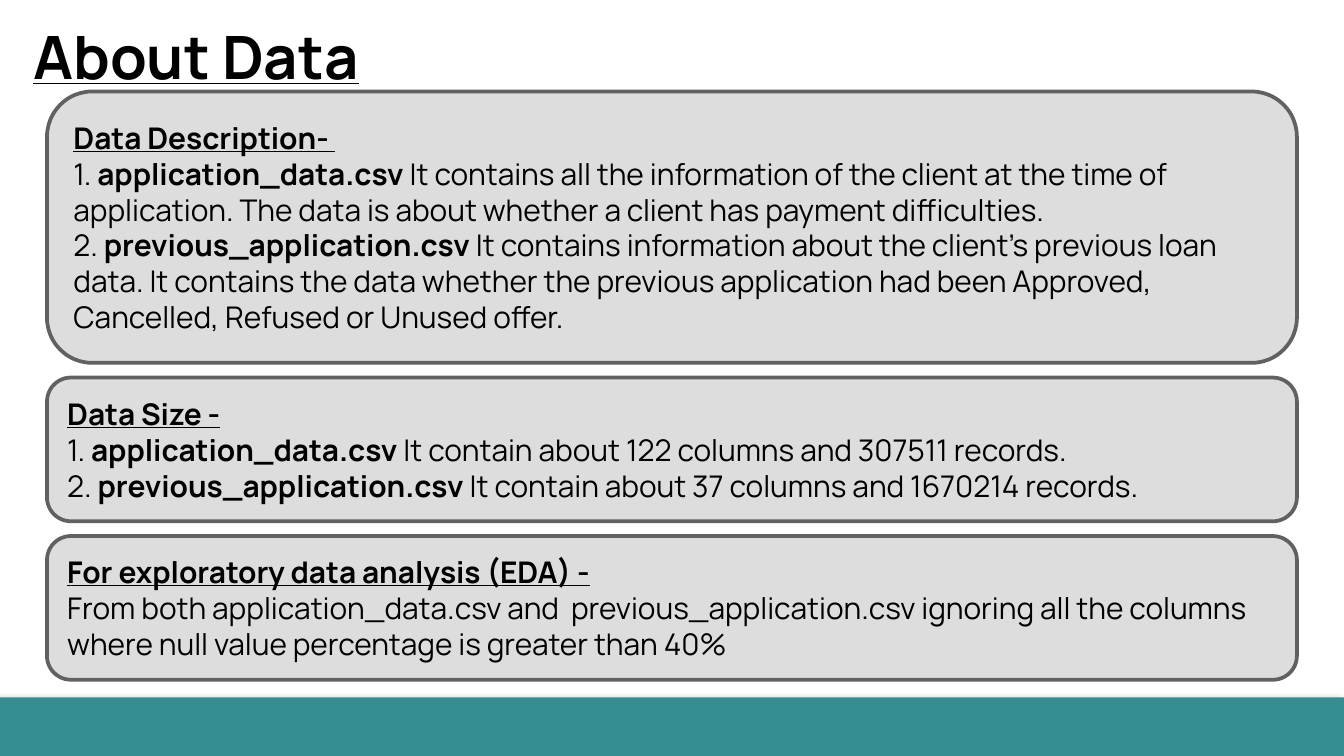
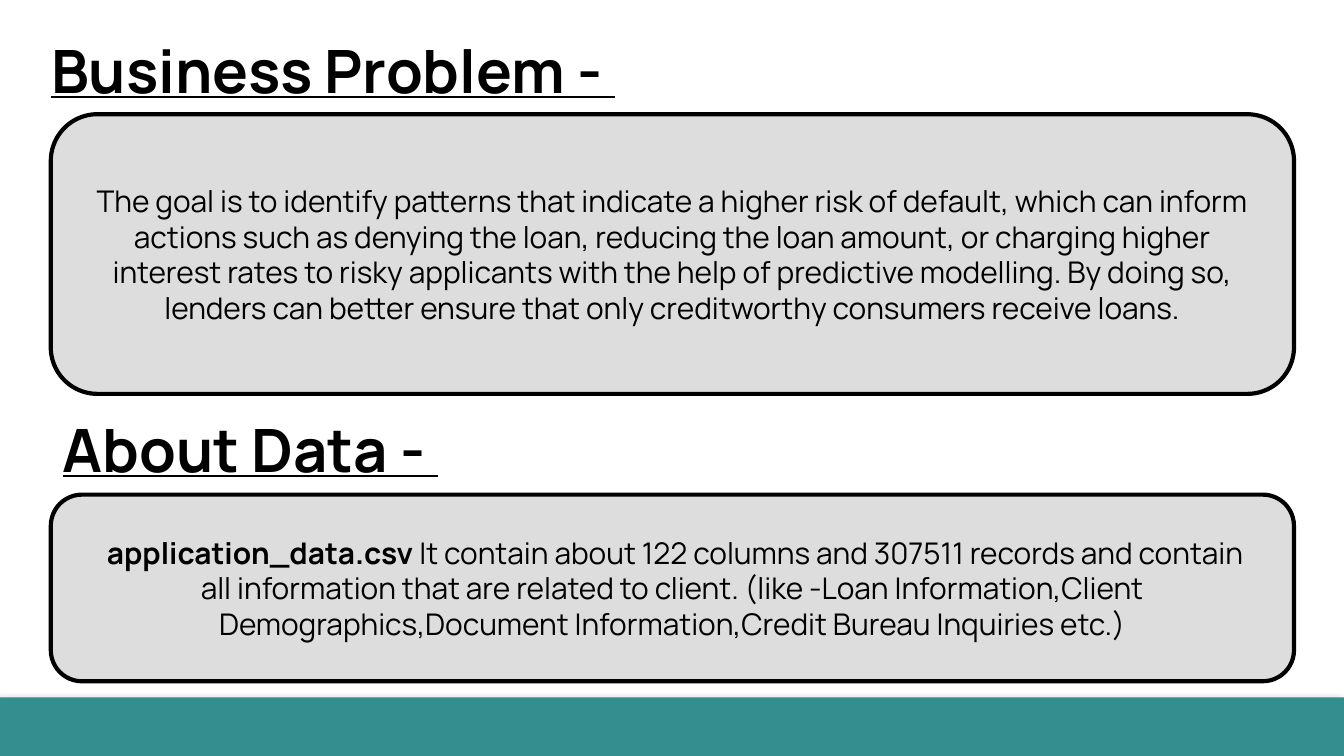
from dataclasses import dataclass

import lxml.etree
import pptx
import pptx.dml.color
import pptx.enum.shapes
import pptx.enum.text
import pptx.oxml.ns
import pptx.util

Pt = pptx.util.Pt
Align = pptx.enum.text.PP_ALIGN
Anchor = pptx.enum.text.MSO_ANCHOR
Preset = pptx.enum.shapes.MSO_SHAPE


@dataclass(frozen=True)
class Theme:
    font: str = "Manrope"
    text: str = "000000"
    band: str = "348E90"
    panel: str = "DDDDDD"
    soft_edge: str = "616161"
    hard_edge: str = "000000"
    title_size: float = 32
    body_size: float = 16


@dataclass(frozen=True)
class Box:
    left: float
    top: float
    width: float
    height: float

    def place(self, shape):
        shape.left, shape.top = Pt(self.left), Pt(self.top)
        shape.width, shape.height = Pt(self.width), Pt(self.height)


THEME = Theme()
WIDTH, HEIGHT = 720, 405
BAND = Box(0, 373.7, WIDTH, 31.3)
PLAIN, BOLD, HEADING = (False, False), (True, False), (True, True)

DESCRIPTION = [
    [("Data Description- ", HEADING)],
    [("1. ", PLAIN), ("application_data.csv", BOLD),
     (" It contains all the information of the client at the time of application."
      " The data is about whether a client has payment difficulties.", PLAIN)],
    [("2. ", PLAIN), ("previous_application.csv", BOLD),
     (" It contains information about the client’s previous loan data."
      " It contains the data whether the previous application had been"
      " Approved, Cancelled, Refused or Unused offer.", PLAIN)],
]
SIZE = [
    [("Data Size -", HEADING)],
    [("1. ", PLAIN), ("application_data.csv", BOLD),
     (" It contain about 122 columns and 307511 records.", PLAIN)],
    [("2. ", PLAIN), ("previous_application.csv ", BOLD),
     ("It contain about 37 columns and 1670214 records.", PLAIN)],
]
ANALYSIS = [
    [("For exploratory data analysis (EDA) -", HEADING)],
    [("From both application_data.csv and  previous_application.csv ignoring"
      " all the columns where null value percentage is greater than 40%", PLAIN)],
]
PROBLEM = [
    [("The goal is to identify patterns that indicate a higher risk of default,"
      " which can inform actions such as denying the loan, reducing the loan"
      " amount, or charging higher interest rates to risky applicants with the"
      " help of predictive modelling. By doing so, lenders can better ensure"
      " that only creditworthy consumers receive loans.", PLAIN)],
]
CLIENT_DATA = [
    [(" application_data.csv", BOLD),
     (" It contain about 122 columns and 307511 records and contain", PLAIN)],
    [("all information that are related to client. (like"
      " -Loan Information,Client Demographics,Document Information,"
      "Credit Bureau Inquiries etc.)", PLAIN)],
]


def color(value):
    return pptx.dml.color.RGBColor.from_string(value)


def format_span(span, size, style):
    span.font.name = THEME.font
    span.font.size = Pt(size)
    span.font.color.rgb = color(THEME.text)
    span.font.bold, span.font.underline = style


def add_block(page, preset, box, fill):
    shape = page.shapes.add_shape(preset, 0, 0, 0, 0)
    box.place(shape)
    shape.shadow.inherit = False
    shape.fill.solid()
    shape.fill.fore_color.rgb = color(fill)
    return shape


def add_band(deck, page):
    band = add_block(page, Preset.RECTANGLE, BAND, THEME.band)
    band.line.fill.background()
    qualified = pptx.oxml.ns.qn
    effects = band.element.spPr.find(qualified("a:effectLst"))
    shadow = lxml.etree.SubElement(
        effects, qualified("a:outerShdw"), blurRad=str(Pt(4)), dist=str(Pt(3)),
        dir="8100000", algn="tr", rotWithShape="0")
    tint = lxml.etree.SubElement(shadow, qualified("a:srgbClr"), val="000000")
    lxml.etree.SubElement(tint, qualified("a:alpha"), val="40000")
    deck.slide_master.element.cSld.spTree.append(band.element)


def write_heading(shape, text, box, align, anchor, inset):
    box.place(shape)
    frame = shape.text_frame
    frame.text = text
    frame.word_wrap = True
    frame.auto_size = pptx.enum.text.MSO_AUTO_SIZE.NONE
    frame.vertical_anchor = anchor
    frame.margin_top = frame.margin_bottom = Pt(inset)
    para = frame.paragraphs[0]
    para.alignment = align
    format_span(para.runs[0], THEME.title_size, HEADING)


def add_panel(page, box, content, align, edge, edge_width):
    panel = add_block(page, Preset.ROUNDED_RECTANGLE, box, THEME.panel)
    panel.line.color.rgb = color(edge)
    panel.line.width = Pt(edge_width)
    frame = panel.text_frame
    frame.word_wrap = True
    frame.vertical_anchor = Anchor.MIDDLE
    for index, pieces in enumerate(content):
        para = frame.add_paragraph() if index else frame.paragraphs[0]
        para.alignment = align
        for text, style in pieces:
            span = para.add_run()
            span.text = text
            format_span(span, THEME.body_size, style)


def build_data_page(page):
    write_heading(page.shapes.title, "About Data", Box(-115.2, -7.2, 440.6, 74.2),
                  Align.CENTER, Anchor.MIDDLE, 7.2)
    top, gap = 49, 7.9
    for content, height in ((DESCRIPTION, 145.4), (SIZE, 77), (ANALYSIS, 77)):
        add_panel(page, Box(25.2, top, 669.6, height), content,
                  Align.LEFT, THEME.soft_edge, 2)
        top += height + gap


def build_problem_page(page):
    second_heading = page.shapes.add_textbox(0, 0, 0, 0)
    sections = (
        (page.shapes.title, "Business Problem - ", 20.2, 14.4, PROBLEM, 61.2, 149.8),
        (second_heading, "About Data - ", 26.6, 217.4, CLIENT_DATA, 265, 100),
    )
    for shape, text, left, top, content, panel_top, height in sections:
        write_heading(shape, text, Box(left, top, 425.5, 46),
                      Align.LEFT, Anchor.TOP, 3.6)
        add_panel(page, Box(27.2, panel_top, 666, height), content,
                  Align.CENTER, THEME.hard_edge, 2.25)


def main():
    deck = pptx.Presentation()
    deck.slide_width, deck.slide_height = Pt(WIDTH), Pt(HEIGHT)
    layout = deck.slide_layouts.get_by_name("Title Only")
    pages = [deck.slides.add_slide(layout) for _ in range(2)]
    add_band(deck, pages[0])
    build_data_page(pages[0])
    build_problem_page(pages[1])
    deck.save("out.pptx")


if __name__ == "__main__":
    main()
